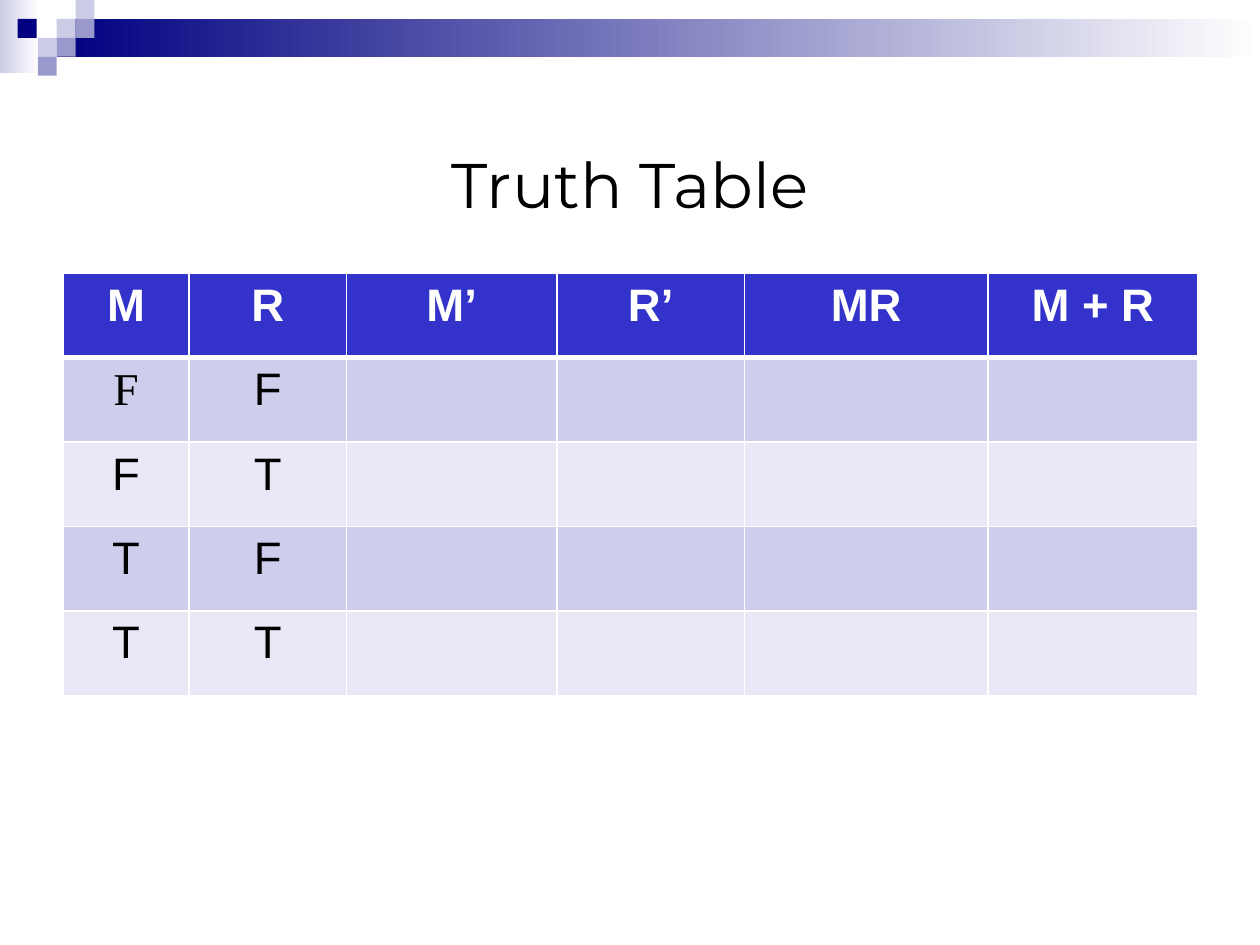
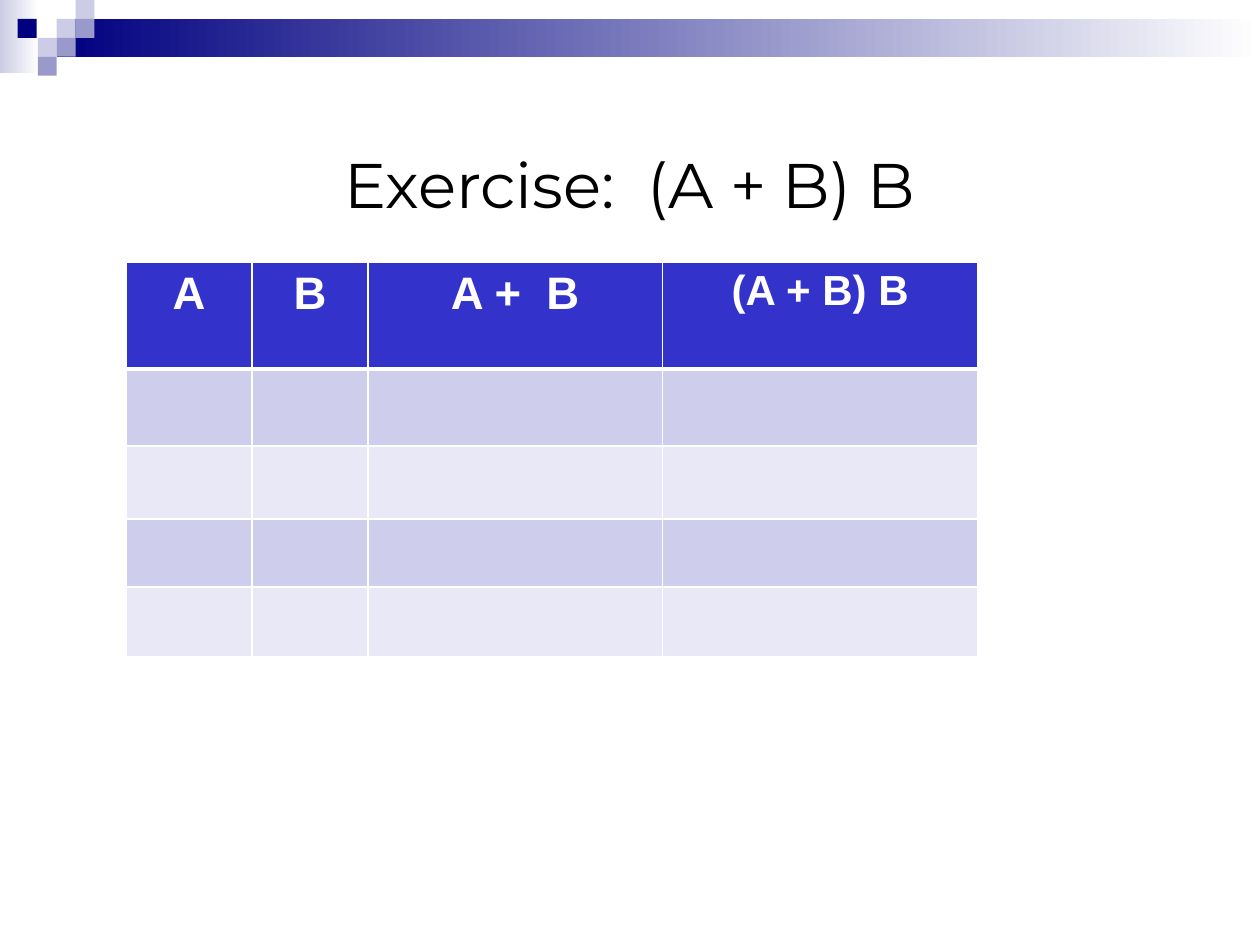
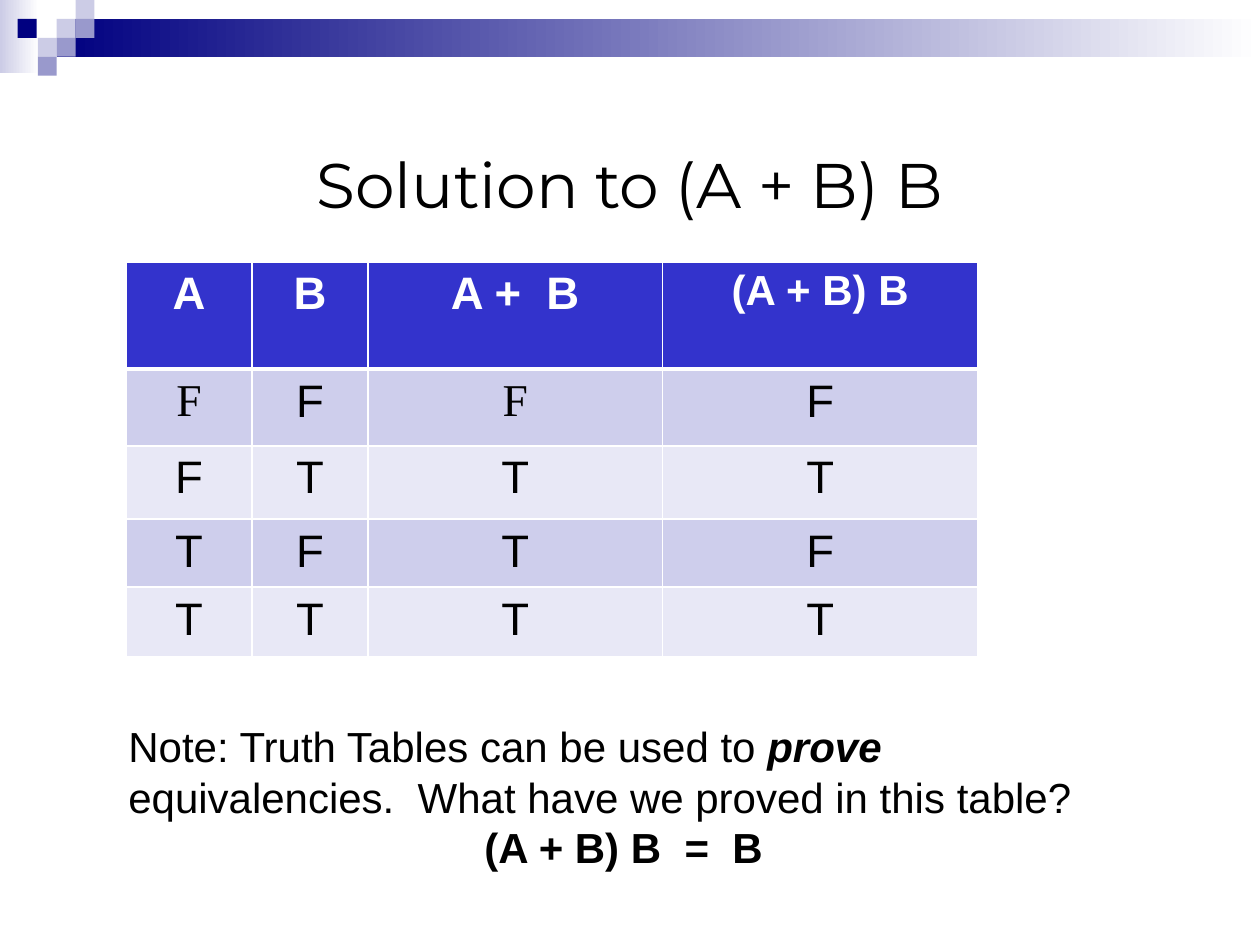
from dataclasses import dataclass
from typing import Any

from lxml import etree
from pptx import Presentation
from pptx import util as u
from pptx.dml import color
from pptx.enum import shapes, text
from pptx.oxml import ns


# Theme: colours, fonts and type sizes
@dataclass(frozen=True)
class Theme:
    black: str = "000000"
    white: str = "FFFFFF"
    navy: str = "000080"
    pale: str = "CCCCE6"
    mid: str = "9999CC"
    head: str = "3333CC"
    odd: str = "CECEEC"
    even: str = "E8E8F6"
    sans: str = "Arial"
    serif: str = "Times New Roman"
    display: str = "Montserrat"
    title: float = 36
    cell: float = 26
    note: float = 24


T = Theme()


@dataclass(frozen=True)
class Block:
    box: tuple[float, float, float, float]
    fill: str
    fade: bool = False


@dataclass(frozen=True)
class Grid:
    left: float
    top: float
    cols: tuple[float, ...]
    rows: tuple[float, ...]
    heads: tuple[str, ...]
    body: tuple[str, ...] = ()      # one letter per cell
    serif: tuple[int, ...] = ()     # serif columns of the first body row
    small: tuple[int, ...] = ()     # columns with a smaller heading


@dataclass(frozen=True)
class Page:
    title: str
    grid: Grid


# Band at the top: two fades and a mosaic of small squares
SIDE = 0.15
TILES = [(0.45, 0.15, T.pale), (0.6, 0, T.pale), (0.6, 0.15, T.mid),
         (0.3, 0.3, T.pale), (0.14, 0.15, T.navy), (0.45, 0.3, T.mid),
         (0.3, 0.45, T.mid)]
BAND = [Block((0, 0, 0.31, 0.58), T.pale, True),
        Block((0.45, 0.15, 9.55, 0.3), T.navy, True),
        *(Block((x, y, SIDE, SIDE), hue) for x, y, hue in TILES)]

# Slide content
TRUTH = Grid(0.5, 2.17, (1, 1.25, 1.67, 1.49, 1.93, 1.67), (0.67,) * 5,
             ("M", "R", "M’", "R’", "MR", "M + R"),
             ("FF", "FT", "TF", "TT"), serif=(0,))
FRAME: dict[str, Any] = dict(
    left=1, top=2.08, cols=(1, 0.92, 2.34, 2.5),
    rows=(0.85, 0.61, 0.58, 0.54, 0.55),
    heads=("A", "B", "A +  B", "(A + B) B"), small=(3,))
PAGES = [
    Page("Truth Table", TRUTH),
    Page("Exercise:  (A + B) B", Grid(**FRAME)),
    Page("Solution to (A + B) B",
         Grid(**FRAME, body=("FFFF", "FTTT", "TFTF", "TTTT"), serif=(0, 2))),
]
NOTE = [("Note: Truth Tables can be used to ", {}),
        ("prove ", {"bold": True, "italic": True}),
        ("equivalencies.  What have we proved in this table?", {})]
PROOF = "(A + B) B  =  B"


# Helpers
def put(item: Any, **vals: Any) -> None:
    for name, val in vals.items():
        setattr(item, name, val)


def place(item: Any, *box: float) -> None:
    sides = ("left", "top", "width", "height")
    put(item, **{side: u.Inches(n) for side, n in zip(sides, box)})


def rgb(hue: str) -> color.RGBColor:
    return color.RGBColor.from_string(hue)


def write(para: Any, words: str, size: float, face: str = T.sans,
          hue: str = T.black, **style: Any) -> None:
    run = para.add_run()
    run.text = words
    put(run.font, **{"name": face, "size": u.Pt(size), "bold": False, **style})
    run.font.color.rgb = rgb(hue)


def draw_block(group: Any, block: Block) -> None:
    shape = group.shapes.add_shape(shapes.MSO_SHAPE.RECTANGLE,
                                   *map(u.Inches, block.box))
    shape.shadow.inherit = False
    shape.line.fill.background()
    if block.fade:
        shape.fill.gradient()
        shape.fill.gradient_angle = 180
        for stop, hue in zip(shape.fill.gradient_stops, (T.white, block.fill)):
            stop.color.rgb = rgb(hue)
    else:
        shape.fill.solid()
        shape.fill.fore_color.rgb = rgb(block.fill)


def add_band(deck: Any, slide: Any) -> None:
    """Build the band once and hand it to the master, behind all else."""
    group = slide.shapes.add_group_shape()
    for block in BAND:
        draw_block(group, block)
    deck.slide_master.element.cSld.spTree.insert(2, group.element)


def add_title(slide: Any, words: str) -> None:
    title = slide.shapes.title
    place(title, 0.5, 0.83, 9, 1.25)
    put(title.text_frame, word_wrap=True, auto_size=text.MSO_AUTO_SIZE.NONE,
        vertical_anchor=text.MSO_ANCHOR.MIDDLE)
    para = title.text_frame.paragraphs[0]
    para.alignment = text.PP_ALIGN.CENTER
    write(para, words, T.title, T.display)


def add_rules(cell: Any, row: int) -> None:
    """White cell borders, heavy between heading and body."""
    props = cell._tc.get_or_add_tcPr()
    widths = {"L": 1, "R": 1, "T": 3 if row == 1 else 1, "B": 1 if row else 3}
    for spot, (side, width) in enumerate(widths.items()):
        line = etree.Element(ns.qn(f"a:ln{side}"), w=str(u.Pt(width)))
        fill = etree.SubElement(line, ns.qn("a:solidFill"))
        etree.SubElement(fill, ns.qn("a:srgbClr"), val=T.white)
        props.insert(spot, line)


def fill_cell(cell: Any, grid: Grid, row: int, col: int) -> None:
    cell.fill.solid()
    cell.fill.fore_color.rgb = rgb(
        T.head if row == 0 else T.odd if row % 2 else T.even)
    add_rules(cell, row)
    lines = (grid.heads, *grid.body)
    if row >= len(lines) or col >= len(lines[row]):
        return
    tiny = row == 0 and col in grid.small
    size = T.note if tiny else T.cell
    cell.margin_top = u.Inches(0.07 if tiny else 0.08)
    para = cell.text_frame.paragraphs[0]
    put(para, alignment=text.PP_ALIGN.CENTER, line_spacing=0.93,
        space_before=u.Pt(size / 4))
    face = T.serif if row == 1 and col in grid.serif else T.sans
    write(para, lines[row][col], size, face,
          T.black if row else T.white, bold=row == 0)


def add_grid(slide: Any, grid: Grid) -> None:
    box = (grid.left, grid.top, sum(grid.cols), sum(grid.rows))
    table = slide.shapes.add_table(len(grid.rows), len(grid.cols),
                                   *map(u.Inches, box)).table
    for col, width in zip(table.columns, grid.cols):
        col.width = u.Inches(width)
    for row, height in zip(table.rows, grid.rows):
        row.height = u.Inches(height)
    for r in range(len(grid.rows)):
        for c in range(len(grid.cols)):
            fill_cell(table.cell(r, c), grid, r, c)


def add_note(slide: Any) -> None:
    box = map(u.Inches, (0.92, 5.67, 8.25, 1.31))
    frame = slide.shapes.add_textbox(*box).text_frame
    put(frame, word_wrap=True, auto_size=text.MSO_AUTO_SIZE.SHAPE_TO_FIT_TEXT,
        margin_right=u.Inches(0.29))
    for words, style in NOTE:
        write(frame.paragraphs[0], words, T.note, **style)
    para = frame.add_paragraph()
    para.alignment = text.PP_ALIGN.CENTER
    write(para, PROOF, T.note, bold=True)


def main() -> None:
    deck = Presentation()
    put(deck, slide_width=u.Inches(10), slide_height=u.Inches(7.5))
    for page in PAGES:
        slide = deck.slides.add_slide(deck.slide_layouts[5])
        add_title(slide, page.title)
        add_grid(slide, page.grid)
    add_note(slide)
    add_band(deck, slide)
    deck.save("out.pptx")


if __name__ == "__main__":
    main()
